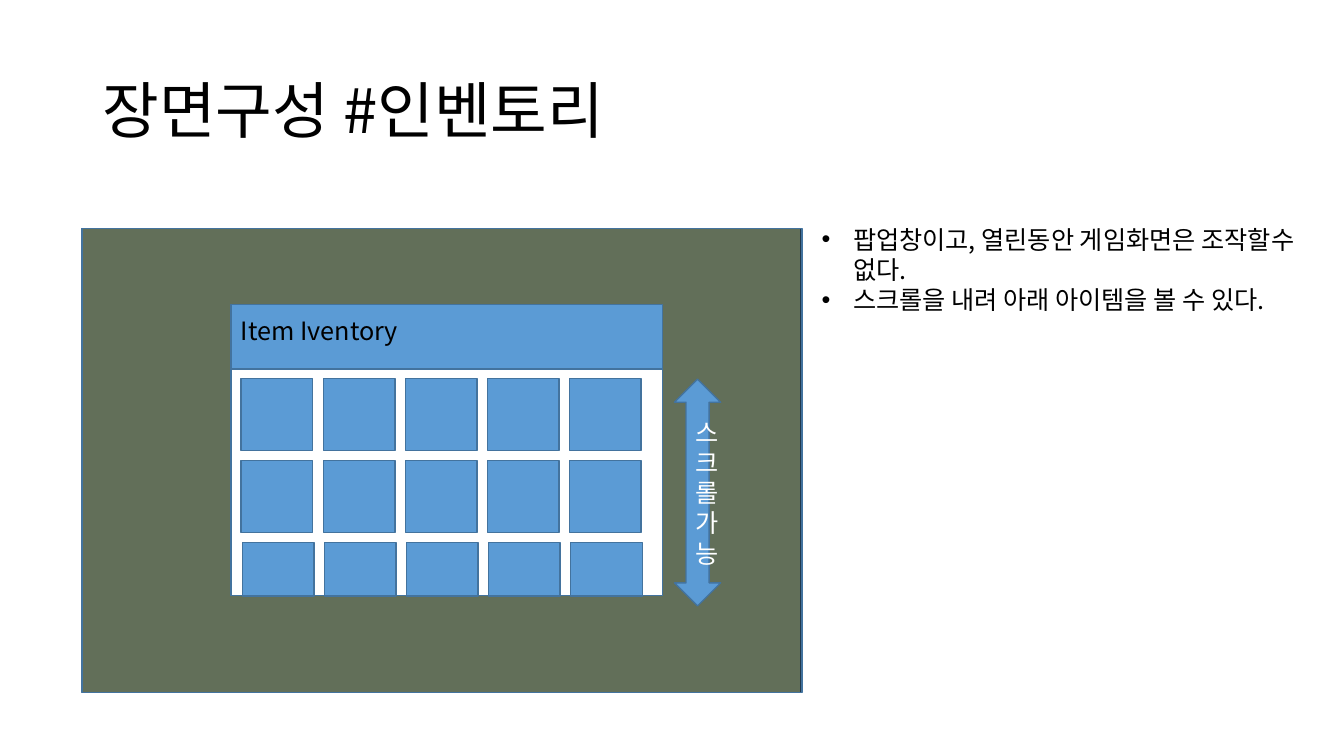
from lxml import etree
from pptx import Presentation
from pptx.dml.color import RGBColor
from pptx.enum.shapes import MSO_SHAPE as SHAPE
from pptx.enum.text import MSO_ANCHOR as ANCHOR, MSO_AUTO_SIZE as AUTO_SIZE, PP_ALIGN as ALIGN
from pptx.oxml.ns import qn
from pptx.util import Pt

FONT = "Noto Sans CJK KR"
COLORS = {"scene": "C5E0B4", "shade": "000000", "blue": "5B9BD5",
          "edge": "43739E", "white": "FFFFFF", "text": "000000"}


def add_block(shapes, kind, left, top, width, height, color):
    block = shapes.add_shape(kind, Pt(left), Pt(top), Pt(width), Pt(height))
    block.shadow.inherit = False
    block.fill.solid()
    block.fill.fore_color.rgb = RGBColor.from_string(COLORS[color])
    block.line.color.rgb = RGBColor.from_string(COLORS["edge"])
    block.line.width = Pt(1)
    return block


def add_span(para, text, size, color):
    span = para.add_run()
    span.text = text
    span.font.size = Pt(size)
    span.font.name = FONT
    span.font.color.rgb = RGBColor.from_string(COLORS[color])
    east_asian = etree.SubElement(span.font._element, qn("a:ea"))
    east_asian.set("typeface", FONT)


deck = Presentation()
deck.slide_width, deck.slide_height = Pt(960), Pt(540)
page = deck.slides.add_slide(deck.slide_layouts[1])

# Game scene, dimmed by a half-transparent layer
add_block(page.shapes, SHAPE.RECTANGLE, 58.3, 163.4, 514, 331.2, "scene")
shade = add_block(page.shapes, SHAPE.RECTANGLE, 59, 163.4, 514, 331.2, "shade")
shade_color = shade.fill._xPr.find(qn("a:solidFill"))[0]
etree.SubElement(shade_color, qn("a:alpha")).set("val", "50000")

# Title
title = page.shapes.title
title.left, title.top, title.width, title.height = Pt(66), Pt(28.8), Pt(828), Pt(104.4)
title.text_frame.auto_size = AUTO_SIZE.NONE
title.text_frame.vertical_anchor = ANCHOR.MIDDLE
para = title.text_frame.paragraphs[0]
para.alignment = ALIGN.LEFT
para.line_spacing = 0.9
add_span(para, "장면구성 #인벤토리", 44, "text")

# Inventory window
window = page.shapes.add_group_shape().shapes
add_block(window, SHAPE.RECTANGLE, 165, 217.5, 308.2, 208, "blue")
heading = window.add_textbox(Pt(165), Pt(221.8), Pt(219), Pt(29))
heading.text_frame.word_wrap = True
add_span(heading.text_frame.paragraphs[0], "Item Iventory", 18, "text")
add_block(window, SHAPE.RECTANGLE, 165, 263.5, 308.2, 162, "white")

# Item slots: the last row is cut off and sits slightly to the right
SLOT, PITCH = 51.2, 58.6
for row, (left, height) in enumerate([(172.3, SLOT), (172.3, SLOT), (173.2, 38.2)]):
    for column in range(5):
        add_block(window, SHAPE.RECTANGLE, left + column * PITCH,
                  270.5 + row * PITCH, SLOT, height, "blue")

# Scroll arrow
arrow = add_block(page.shapes, SHAPE.UP_DOWN_ARROW, 481.8, 270.8, 33, 162, "blue")
arrow.text_frame.word_wrap = True
arrow.text_frame.vertical_anchor = ANCHOR.MIDDLE
para = arrow.text_frame.paragraphs[0]
para.alignment = ALIGN.CENTER
add_span(para, "스크롤가능", 18, "white")

# Notes on behaviour
notes = page.placeholders[1]
notes.left, notes.top, notes.width, notes.height = Pt(579.6), Pt(156.4), Pt(375), Pt(72.7)
notes.text_frame.auto_size = AUTO_SIZE.NONE
for index, text in enumerate(["팝업창이고, 열린동안 게임화면은 조작할수 없다.",
                              "스크롤을 내려 아래 아이템을 볼 수 있다."]):
    para = notes.text_frame.paragraphs[0] if index == 0 else notes.text_frame.add_paragraph()
    para.space_before = Pt(0)
    properties = para._p.get_or_add_pPr()
    properties.set("marL", str(Pt(22.5)))
    properties.set("indent", str(-Pt(22.5)))
    add_span(para, text, 18, "text")

deck.save("out.pptx")
